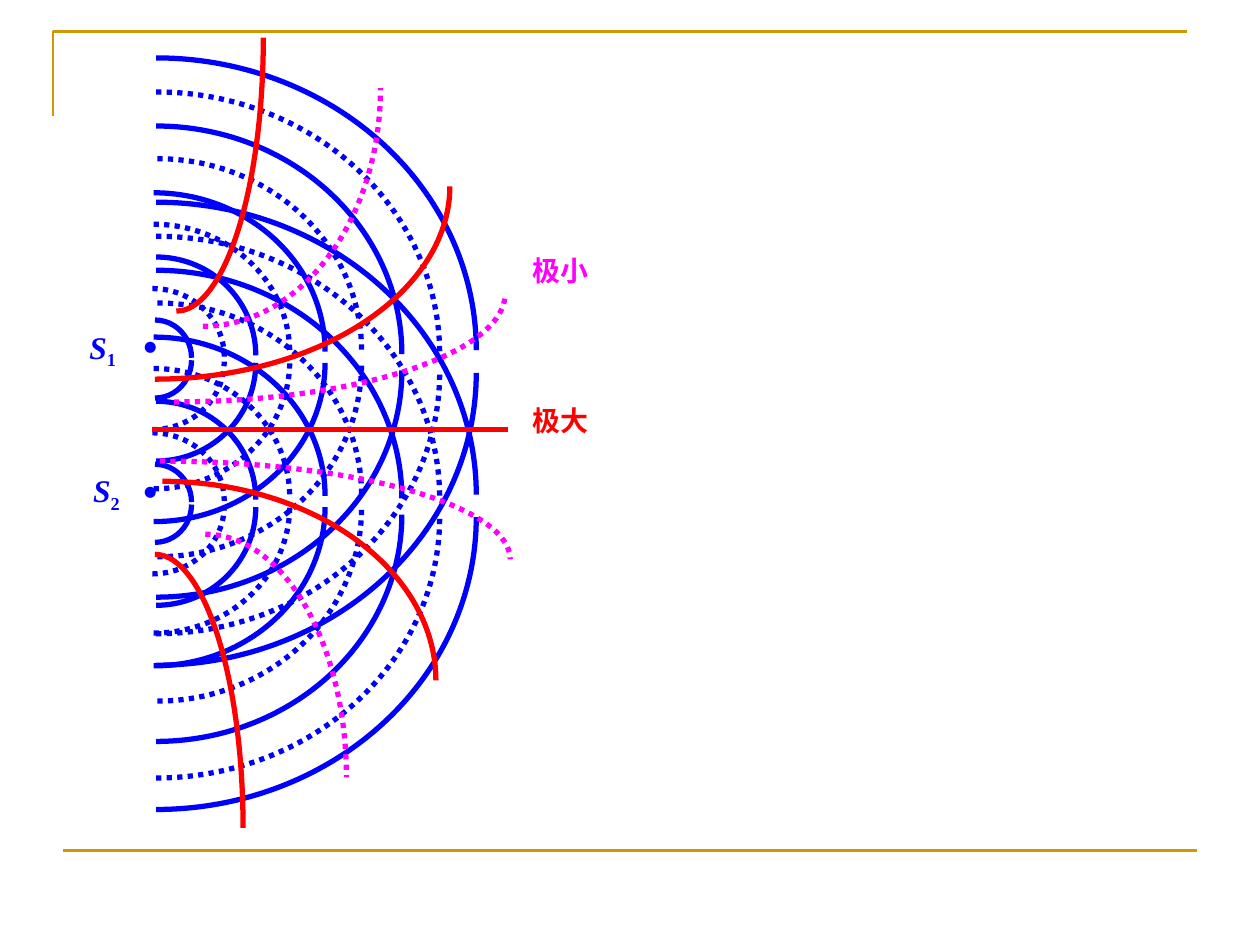
from dataclasses import dataclass

from lxml.etree import SubElement
from pptx import Presentation
from pptx.dml.color import RGBColor
from pptx.enum.dml import MSO_LINE
from pptx.enum.shapes import MSO_CONNECTOR, MSO_SHAPE
from pptx.enum.text import PP_ALIGN
from pptx.oxml.ns import qn
from pptx.util import Inches, Pt


@dataclass(frozen=True)
class Theme:
    """Colours, fonts, type sizes and line widths of the slide."""
    frame: RGBColor = RGBColor(0xCC, 0x99, 0x00)
    wave: RGBColor = RGBColor(0x00, 0x00, 0xFF)
    maximum: RGBColor = RGBColor(0xFF, 0x00, 0x00)
    minimum: RGBColor = RGBColor(0xFF, 0x00, 0xFF)
    text_font: str = "Times New Roman"
    dot_font: str = "Arial"
    source_size: int = 18
    legend_size: int = 16
    dot_size: int = 22
    frame_width: float = 1.5
    curve_width: float = 3


THEME = Theme()
COLUMNS, ROWS = 100, 75
SLIDE_WIDTH, SLIDE_HEIGHT = Inches(10), Inches(7.5)
SOURCE_GAP = 11.45

# start column, right column, top row, upper end row, lower end row, bottom row, dotted
WAVEFRONTS = [
    (12.5, 28.7, 12.6, 27.8, 28.9, 44.2, True),
    (12.1, 17.8, 22.9, 28.3, 28.7, 34.1, True),
    (12.3, 15.2, 25.4, 28.4, 28.6, 31.6, False),
    (12.4, 20.3, 20.4, 28.2, 28.8, 36.6, False),
    (12.2, 23.0, 17.8, 28.0, 28.7, 38.8, True),
    (12.2, 25.8, 15.3, 27.9, 28.8, 41.4, False),
    (12.4, 34.9, 7.3, 28.1, 29.6, 50.3, True),
    (12.4, 31.9, 10.0, 28.1, 29.4, 47.4, False),
    (12.4, 37.8, 4.6, 27.8, 29.6, 52.8, False),
]
MAXIMA = [
    ((12.3, 30.1), (35.7, 14.8)),
    ((12.9, 38.2), (34.6, 54.0)),
    ((14.0, 24.7), (20.9, 3.0)),
    ((12.3, 44.0), (19.3, 65.7)),
]
MINIMA = [
    ((16.1, 25.9), (30.2, 7.0)),
    ((16.3, 42.4), (27.5, 61.7)),
    ((13.8, 31.9), (40.1, 23.3)),
    ((12.7, 36.6), (40.5, 44.4)),
]


def across(columns):
    """Convert grid columns to a slide length."""
    return round(SLIDE_WIDTH * columns / COLUMNS)


def down(rows):
    """Convert grid rows to a slide length."""
    return round(SLIDE_HEIGHT * rows / ROWS)


def style_line(shape, color, width, dotted=False):
    """Set the colour, width and dash of an outline."""
    shape.line.color.rgb = color
    shape.line.width = Pt(width)
    if dotted:
        shape.line.dash_style = MSO_LINE.ROUND_DOT


def add_arc(slide, start, end, color, dotted=False):
    """Draw a quarter ellipse from its level start to its upright end."""
    radius_x = end[0] - start[0]
    radius_y = abs(end[1] - start[1])
    rising = end[1] < start[1]
    top = start[1] - 2 * radius_y if rising else start[1]
    shape = slide.shapes.add_shape(
        MSO_SHAPE.ARC, across(start[0] - radius_x), down(top),
        across(2 * radius_x), down(2 * radius_y))
    if rising:
        shape._element.spPr.find(qn("a:xfrm")).set("flipV", "1")
    shape.shadow.inherit = False
    shape.fill.background()
    style_line(shape, color, THEME.curve_width, dotted)


def add_line(slide, start, end, color, width):
    """Draw a straight line without a shadow."""
    connector = slide.shapes.add_connector(
        MSO_CONNECTOR.STRAIGHT, across(start[0]), down(start[1]),
        across(end[0]), down(end[1]))
    style_line(connector, color, width)
    SubElement(connector._element.spPr, qn("a:effectLst"))


def add_label(slide, box, text, color, size, font, subscript=""):
    """Write a bold label, with an italic letter when it has a subscript."""
    left, top, width, height = box
    shape = slide.shapes.add_textbox(across(left), down(top), across(width), down(height))
    frame = shape.text_frame
    frame.word_wrap = True
    frame.margin_left = frame.margin_right = Inches(0.01)
    frame.margin_top = frame.margin_bottom = Inches(0.01)
    paragraph = frame.paragraphs[0]
    paragraph.text = text
    paragraph.alignment = PP_ALIGN.JUSTIFY
    if subscript:
        paragraph.runs[0].font.italic = True
        run = paragraph.add_run()
        run.text = subscript
        run._r.get_or_add_rPr().set("baseline", "-25000")
    for run in paragraph.runs:
        run.font.name = font
        run.font.size = Pt(size)
        run.font.bold = True
        run.font.color.rgb = color


def add_frame(slide):
    """Draw the corner at the top and the rule at the bottom."""
    builder = slide.shapes.build_freeform(across(4.2), down(9.2))
    builder.add_line_segments(
        [(across(4.2), down(2.5)), (across(94.2), down(2.5))], close=False)
    corner = builder.convert_to_shape()
    corner.shadow.inherit = False
    corner.fill.background()
    style_line(corner, THEME.frame, THEME.frame_width)
    add_line(slide, (5, 67.5), (95, 67.5), THEME.frame, THEME.frame_width)


def add_source(slide, offset):
    """Draw a source point and the wavefronts around it."""
    for start, right, top, upper, lower, bottom, dotted in WAVEFRONTS:
        for apex, end in ((top, upper), (bottom, lower)):
            add_arc(slide, (start, apex + offset), (right, end + offset),
                    THEME.wave, dotted)
    add_label(slide, (11.3, 25.5 + offset, 5, 4.6), "•",
              THEME.wave, THEME.dot_size, THEME.dot_font)


def main():
    """Build the two-source interference slide."""
    presentation = Presentation()
    presentation.slide_width, presentation.slide_height = SLIDE_WIDTH, SLIDE_HEIGHT
    slide = presentation.slides.add_slide(presentation.slide_layouts[6])
    add_frame(slide)
    for offset in (0, SOURCE_GAP):
        add_source(slide, offset)
    add_line(slide, (12.1, 34.1), (40.3, 34.1), THEME.maximum, THEME.curve_width)
    for start, end in MAXIMA:
        add_arc(slide, start, end, THEME.maximum)
    for start, end in MINIMA:
        add_arc(slide, start, end, THEME.minimum, dotted=True)
    for box, number in (((7, 25.9, 5.1, 4.6), "1"), ((7.3, 37.3, 4.2, 5), "2")):
        add_label(slide, box, "S", THEME.wave, THEME.source_size,
                  THEME.text_font, number)
    for box, text, color in (
            ((42.2, 31.9, 10.3, 4.2), "极大", THEME.maximum),
            ((42.2, 20, 9.5, 5.2), "极小", THEME.minimum)):
        add_label(slide, box, text, color, THEME.legend_size, THEME.text_font)
    presentation.save("out.pptx")


if __name__ == "__main__":
    main()
